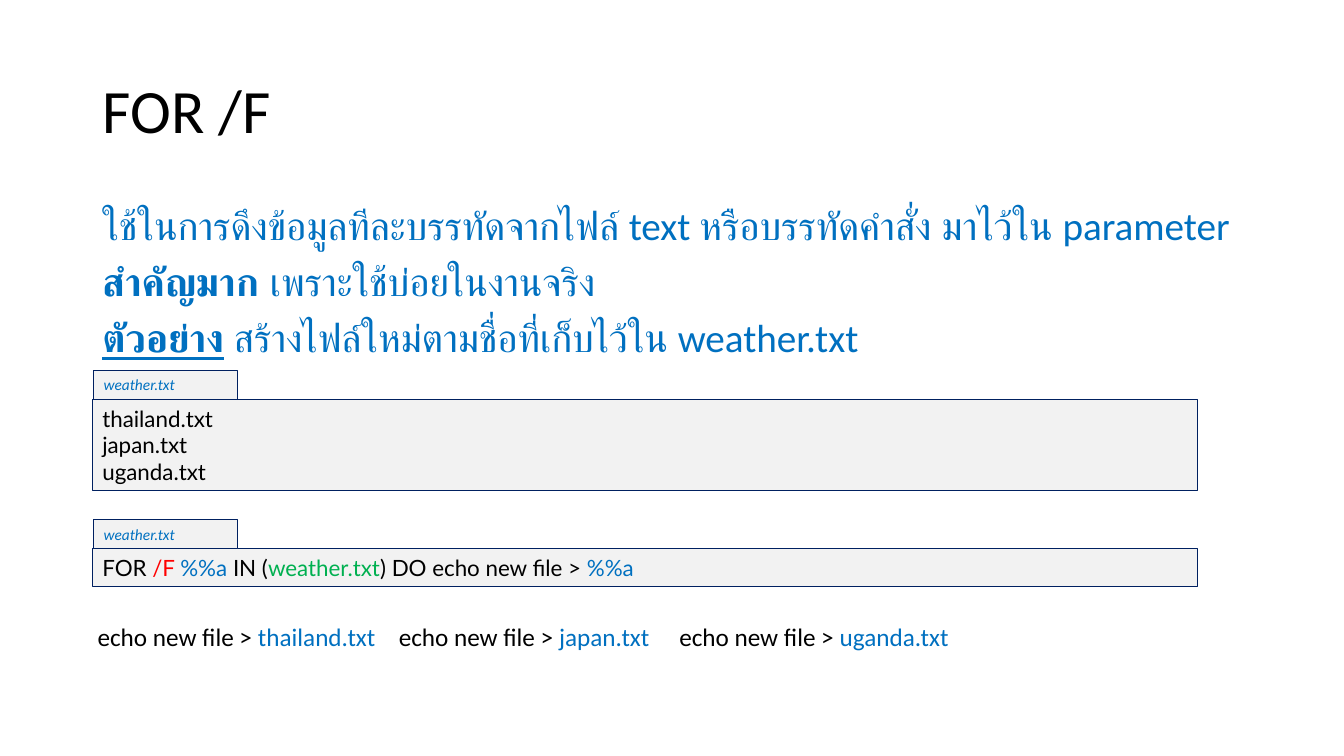
from dataclasses import dataclass

from pptx import Presentation
from pptx.dml.color import RGBColor
from pptx.enum.shapes import MSO_SHAPE
from pptx.enum.text import MSO_ANCHOR, MSO_AUTO_SIZE, PP_ALIGN
from pptx.util import Cm, Pt


@dataclass(frozen=True)
class Theme:
    """Colours, fonts and type sizes of the slide."""
    black: str = "000000"
    blue: str = "0070C0"
    red: str = "FF0000"
    green: str = "00B050"
    panel: str = "F2F2F2"
    border: str = "002060"
    font: str = "Calibri"
    code_font: str = "Lato"
    title: int = 44
    body: int = 28
    echo: int = 18
    code: int = 16
    tab: int = 11


theme = Theme()


def write(frame, lines, size, color, font=theme.font, fit=MSO_AUTO_SIZE.SHAPE_TO_FIT_TEXT):
    """Fill a frame with lines of (text, font settings) runs; return its paragraphs."""
    frame.word_wrap = True
    frame.auto_size = fit
    for index, runs in enumerate(lines):
        line = frame.paragraphs[0] if index == 0 else frame.add_paragraph()
        line.alignment = PP_ALIGN.LEFT
        line.font.name, line.font.size = font, Pt(size)
        line.font.color.rgb = RGBColor.from_string(color)
        for text, settings in runs:
            run = line.add_run()
            run.text = text
            # Runs carry the base look so that it shows in every viewer
            run.font.name, run.font.size = font, Pt(size)
            run.font.color.rgb = RGBColor.from_string(settings.get("color", color))
            run.font.bold = settings.get("bold", False)
            run.font.italic = settings.get("italic", False)
            run.font.underline = settings.get("underline", False)
    return frame.paragraphs


def add_panel(group, left, top, width, height):
    """Add a grey rectangle with a thin border to a group; return its text frame."""
    panel = group.shapes.add_shape(MSO_SHAPE.RECTANGLE, Cm(left), Cm(top), Cm(width), Cm(height))
    panel.shadow.inherit = False
    panel.fill.solid()
    panel.fill.fore_color.rgb = RGBColor.from_string(theme.panel)
    panel.line.color.rgb = RGBColor.from_string(theme.border)
    panel.line.width = Pt(0.75)
    return panel.text_frame


prs = Presentation()
prs.slide_width, prs.slide_height = Cm(33.87), Cm(19.05)
slide = prs.slides.add_slide(prs.slide_layouts[5])
margin, content_width = 2.33, 29.21

# Title
title = slide.shapes.title
title.left, title.top, title.width, title.height = Cm(margin), Cm(1.01), Cm(content_width), Cm(3.68)
title.text_frame.vertical_anchor = MSO_ANCHOR.MIDDLE
heading = write(title.text_frame, [[("FOR /F", {})]], theme.title, theme.black,
                fit=MSO_AUTO_SIZE.NONE)
heading[0].line_spacing = 0.9

# Explanation
explanation = slide.shapes.add_textbox(Cm(margin), Cm(5.07), Cm(content_width), Cm(12.09))
explanation_lines = [
    [("ใช้ในการดึงข้อมูลทีละบรรทัดจากไฟล์ text หรือบรรทัดคำสั่ง มาไว้ใน parameter", {})],
    [("สำคัญมาก ", {"bold": True}), ("เพราะใช้บ่อยในงานจริง", {})],
    [("ตัวอย่าง", {"bold": True, "underline": True}),
     (" สร้างไฟล์ใหม่ตามชื่อที่เก็บไว้ใน weather.txt", {})],
]
for line in write(explanation.text_frame, explanation_lines, theme.body, theme.blue,
                  fit=MSO_AUTO_SIZE.NONE):
    line.line_spacing = 0.9
    line.space_before = Pt(10)

# File listings, each under its tab
countries = ["thailand.txt", "japan.txt", "uganda.txt"]
blue, red, green = ({"color": color} for color in (theme.blue, theme.red, theme.green))
command = [("FOR ", {}), ("/F ", red), ("%%a ", blue), ("IN (", {}), ("weather.txt", green),
           (") DO echo new file > ", {}), ("%%a", blue)]
listings = [
    (10.06, 2.31, [[(country, {})] for country in countries]),
    (13.83, 0.94, [command]),
]
tab_height = 0.73
for top, height, code in listings:
    group = slide.shapes.add_group_shape()
    write(add_panel(group, margin, top, 27.86, height),
          code, theme.code, theme.black, theme.code_font)
    write(add_panel(group, margin + 0.03, top - tab_height, 3.63, tab_height),
          [[("weather.txt", {"italic": True})]], theme.tab, theme.blue)

# Commands that the loop runs
for left, country in zip((2.21, 9.8, 16.87), countries):
    echo = slide.shapes.add_textbox(Cm(left), Cm(15.52), Cm(7.59), Cm(1.02))
    write(echo.text_frame, [[("echo new file > ", {}), (country, blue)]],
          theme.echo, theme.black)

prs.save("out.pptx")
